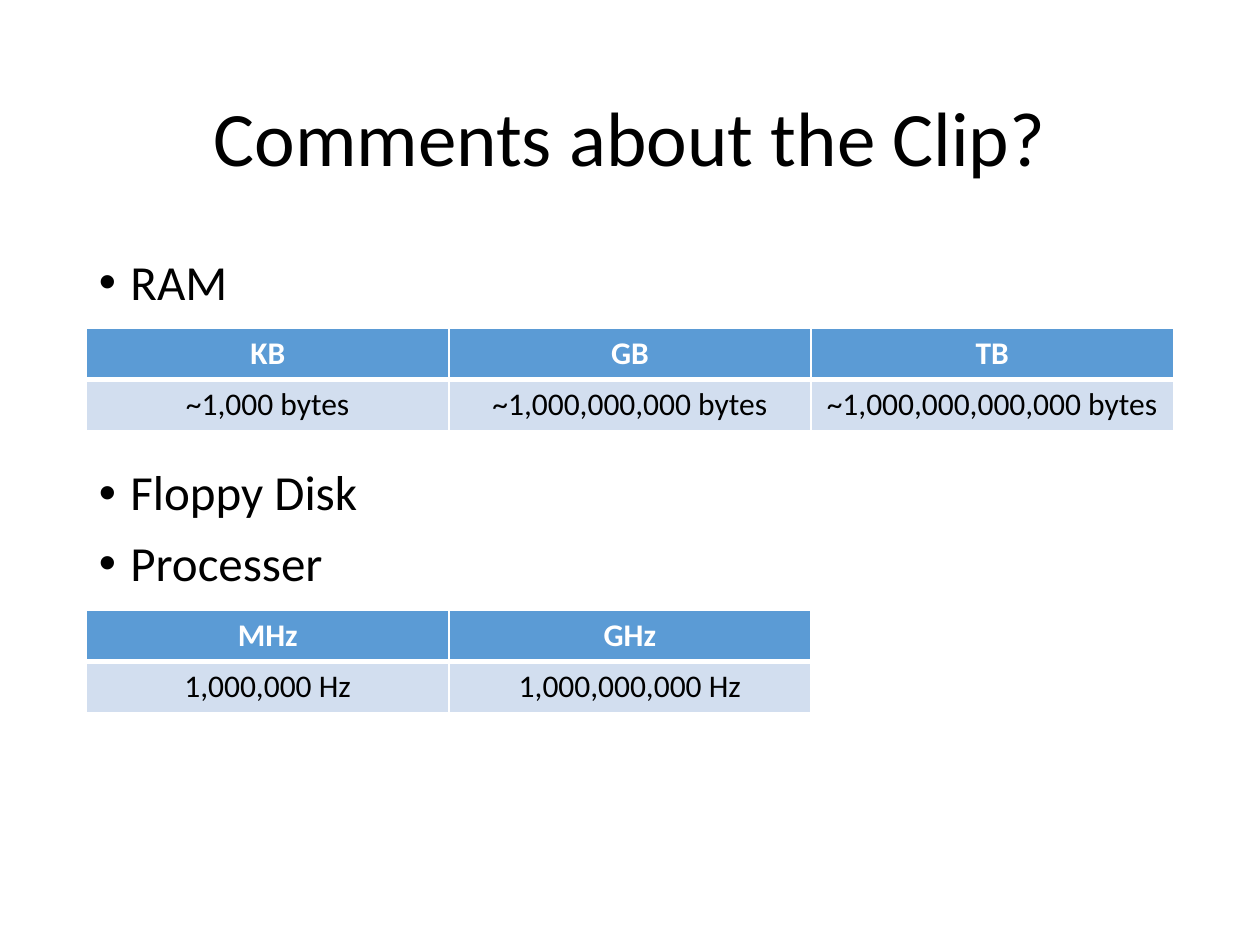
from lxml.etree import SubElement
from pptx import Presentation
from pptx.dml.color import RGBColor
from pptx.enum.text import MSO_ANCHOR, PP_ALIGN
from pptx.oxml.ns import qn
from pptx.util import Pt

LEFT, COL, ROW = 49.5, 207, 29.2
HEAD = {"fill": "5B9BD5", "ink": "FFFFFF", "bold": True, "top": 1, "base": 3}
BODY = {"fill": "D2DEEF", "ink": "000000", "bold": False, "top": 3, "base": 1}


def tint(code):
    """Turn a hex string into a colour."""
    return RGBColor.from_string(code)


def apply(item, form):
    """Set each attribute in a dict of format values."""
    for name, value in form.items():
        setattr(item, name, value)


def style(para, size, ink="000000", bold=False):
    """Format the font of a paragraph."""
    apply(para.font, {"name": "Calibri", "size": Pt(size), "bold": bold})
    para.font.color.rgb = tint(ink)


def add_title(slide, text):
    """Fill and place the title."""
    title = slide.shapes.title
    apply(title, {"left": Pt(LEFT), "top": Pt(28.75),
                  "width": Pt(3 * COL), "height": Pt(104.4)})
    frame = title.text_frame
    apply(frame, {"text": text, "word_wrap": True,
                  "vertical_anchor": MSO_ANCHOR.MIDDLE})
    para = frame.paragraphs[0]
    apply(para, {"alignment": PP_ALIGN.CENTER, "line_spacing": 0.9})
    style(para, 44)


def add_list(slide, items):
    """Add bullets, each given as text and space before."""
    box = slide.shapes.add_textbox(Pt(LEFT), Pt(144), Pt(3 * COL), Pt(342.6))
    frame = box.text_frame
    frame.word_wrap = True
    for num, (text, gap) in enumerate(items):
        para = frame.add_paragraph() if num else frame.paragraphs[0]
        props = para._p.get_or_add_pPr()
        props.set("marL", str(Pt(18)))
        props.set("indent", str(Pt(-18)))
        SubElement(props, qn("a:buFont"), typeface="Arial")
        SubElement(props, qn("a:buChar"), char="•")
        apply(para, {"text": text, "line_spacing": 0.9, "space_before": Pt(gap)})
        style(para, 28)


def add_edges(cell, look):
    """Draw white borders around a cell."""
    props = cell._tc.get_or_add_tcPr()
    for side, width in {"L": 1, "R": 1, "T": look["top"], "B": look["base"]}.items():
        line = SubElement(props, qn(f"a:ln{side}"), w=str(Pt(width)))
        fill = SubElement(line, qn("a:solidFill"))
        SubElement(fill, qn("a:srgbClr"), val="FFFFFF")


def add_grid(slide, top, rows):
    """Add a table with a header row and a body row."""
    count = len(rows[0])
    table = slide.shapes.add_table(len(rows), count, Pt(LEFT), Pt(top),
                                   Pt(count * COL), Pt(len(rows) * ROW)).table
    for y, (texts, look) in enumerate(zip(rows, (HEAD, BODY))):
        table.rows[y].height = Pt(ROW)
        for x, text in enumerate(texts):
            cell = table.cell(y, x)
            add_edges(cell, look)
            cell.fill.solid()
            cell.fill.fore_color.rgb = tint(look["fill"])
            cell.text = text
            para = cell.text_frame.paragraphs[0]
            para.alignment = PP_ALIGN.CENTER
            style(para, 18, look["ink"], look["bold"])


def main():
    """Build and save the slide."""
    deck = Presentation()
    apply(deck, {"slide_width": Pt(720), "slide_height": Pt(540)})
    slide = deck.slides.add_slide(deck.slide_layouts[5])
    add_title(slide, "Comments about the Clip?")
    add_list(slide, [("RAM", 0), ("Floppy Disk", 90), ("Processer", 10)])
    add_grid(slide, 187.5, [
        ["KB", "GB", "TB"],
        ["~1,000 bytes", "~1,000,000,000 bytes", "~1,000,000,000,000 bytes"]])
    add_grid(slide, 348.75, [
        ["MHz", "GHz"], ["1,000,000 Hz", "1,000,000,000 Hz"]])
    deck.save("out.pptx")


if __name__ == "__main__":
    main()
